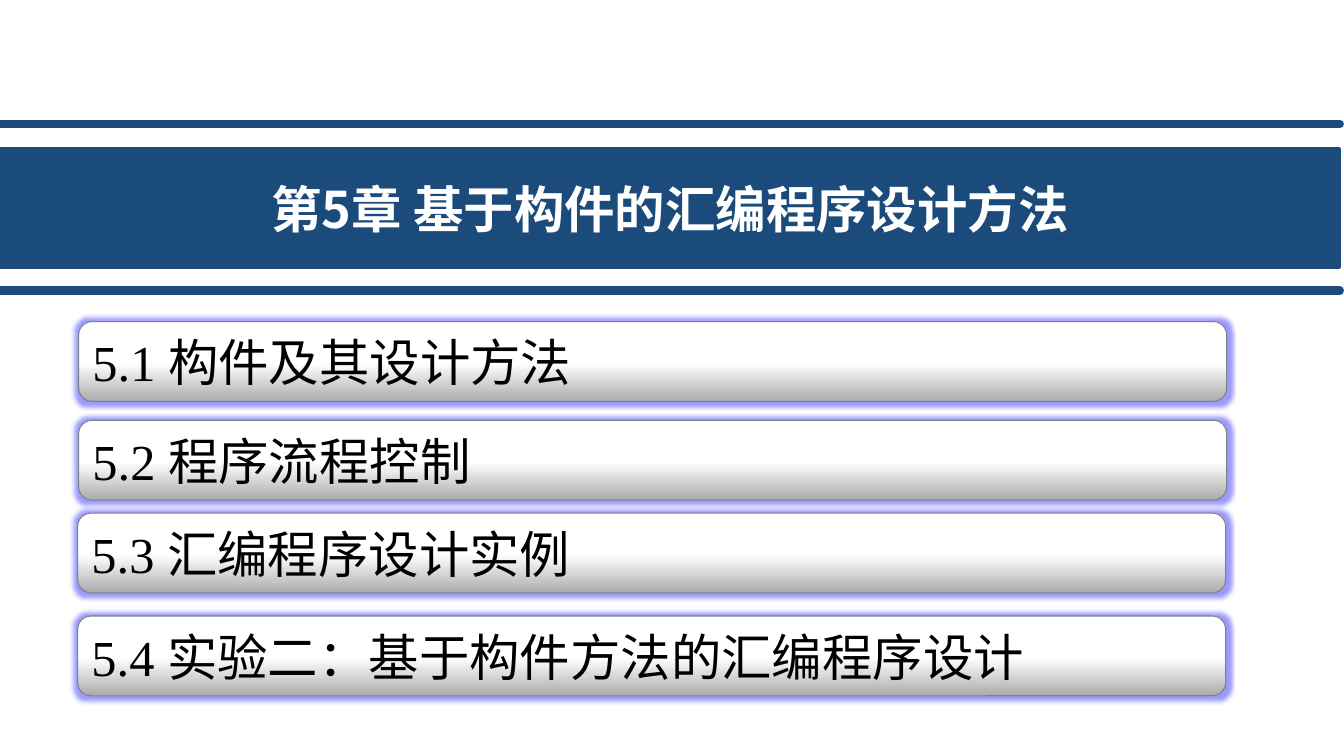
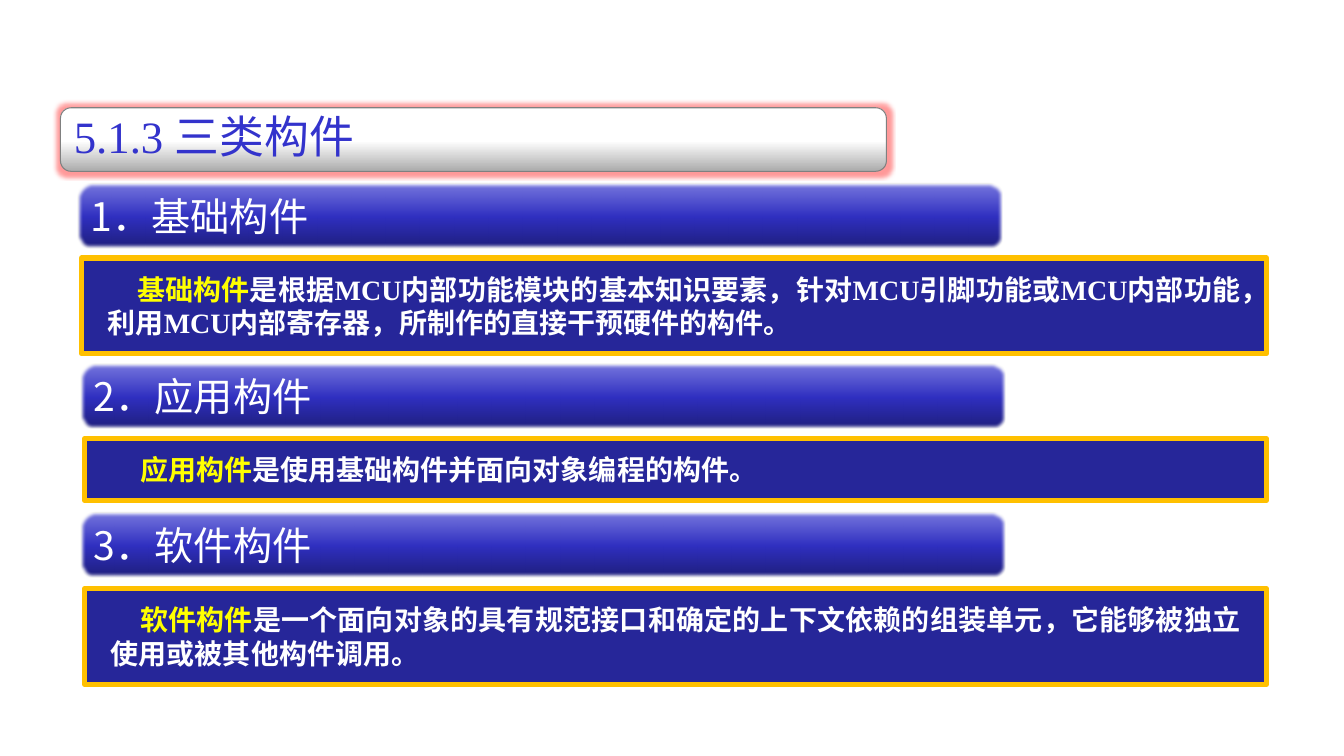
from lxml.etree import SubElement
from pptx import Presentation
from pptx.dml.color import RGBColor
from pptx.enum.shapes import MSO_CONNECTOR, MSO_SHAPE
from pptx.enum.text import MSO_ANCHOR, MSO_AUTO_SIZE, PP_ALIGN
from pptx.oxml.ns import qn
from pptx.util import Pt

SANS = "Noto Sans CJK SC"
SERIF = "Times New Roman"
NAVY, WHITE, BLACK, GRAY = "1B4B7B", "FFFFFF", "000000", "808080"
INDIGO, GOLD, YELLOW, BLUE = "262699", "FFC000", "FFFF00", "3333CC"
SILVER_STOPS = [(0, "ABABAB"), (48, "FFFFFF"), (100, "FFFFFF")]
BLUE_STOPS = [(0, "1E1E7C"), (48, "2F2FC0"), (100, "7878DE")]
BLUE_GLOW, RED_GLOW = "0000FF", "FF0000"

BAND_FORMAT = dict(size=36, font=SANS, color=WHITE, bold=True, align=PP_ALIGN.CENTER,
                   anchor=MSO_ANCHOR.MIDDLE, margins=(7.2, 3.6, 7.2, 3.6))
HEADING_FORMAT = dict(size=32, font=SERIF, color=BLUE, bold=False, align=PP_ALIGN.LEFT,
                      anchor=MSO_ANCHOR.TOP, margins=(9.5, 1, 7.2, 0))
ITEM_FORMAT = dict(size=36, font=SERIF, color=BLACK, bold=False, align=PP_ALIGN.LEFT,
                   anchor=MSO_ANCHOR.MIDDLE, margins=(7.2, 0, 7.2, 0))
LABEL_FORMAT = dict(ITEM_FORMAT, size=28, font=SANS, color=WHITE)
BODY_FORMAT = dict(size=20, font=SERIF, color=WHITE, bold=True, align=PP_ALIGN.JUSTIFY,
                   anchor=MSO_ANCHOR.MIDDLE, margins=(18.72, 10, 18.72, 10),
                   spacing=24, indent=21)


def rgb(value):
    return RGBColor.from_string(value)


def set_attributes(target, values):
    for name, value in values.items():
        setattr(target, name, value)


class Deck:
    def __init__(self):
        self.presentation = Presentation()
        set_attributes(self.presentation, dict(slide_width=Pt(960), slide_height=Pt(540)))
        self.slide = None

    def add_slide(self):
        self.slide = self.presentation.slides.add_slide(self.presentation.slide_layouts[5])

    def fill_text(self, shape, runs, style):
        frame = shape.text_frame
        left, top, right, bottom = map(Pt, style["margins"])
        set_attributes(frame, dict(
            word_wrap=True, auto_size=MSO_AUTO_SIZE.NONE, vertical_anchor=style["anchor"],
            margin_left=left, margin_top=top, margin_right=right, margin_bottom=bottom))
        paragraph = frame.paragraphs[0]
        paragraph.alignment = style["align"]
        if "spacing" in style:
            paragraph.line_spacing = Pt(style["spacing"])
        if "indent" in style:
            paragraph._p.get_or_add_pPr().set("indent", str(Pt(style["indent"])))
        for text, color in runs:
            run = paragraph.add_run()
            run.text = text
            set_attributes(run.font, dict(
                size=Pt(style["size"]), name=style["font"], bold=style["bold"]))
            run.font.color.rgb = rgb(color)
            SubElement(run._r.get_or_add_rPr(), qn("a:ea"), typeface=SANS)

    def outline(self, shape, color, width):
        shape.line.color.rgb = rgb(color)
        shape.line.width = Pt(width)

    def shape(self, kind, box, line_color, line_width):
        shape = self.slide.shapes.add_shape(kind, *map(Pt, box))
        shape.shadow.inherit = False
        self.outline(shape, line_color, line_width)
        return shape

    def title(self, box, text, style, fill=None):
        title = self.slide.shapes.title
        set_attributes(title, dict(zip(("left", "top", "width", "height"), map(Pt, box))))
        if fill:
            title.fill.solid()
            title.fill.fore_color.rgb = rgb(fill)
            self.outline(title, fill, 2)
        self.fill_text(title, [(text, style["color"])], style)
        self.slide.shapes._spTree.append(title._element)

    def rule(self, top):
        connector = self.slide.shapes.add_connector(
            MSO_CONNECTOR.STRAIGHT, Pt(0), Pt(top), Pt(957), Pt(top))
        self.outline(connector, NAVY, 6)
        properties = connector._element.spPr
        properties.find(qn("a:ln")).set("cap", "rnd")
        SubElement(properties, qn("a:effectLst"))

    def bar(self, box, stops, glow=None, text=None, style=None):
        shape = self.shape(MSO_SHAPE.ROUNDED_RECTANGLE, box, GRAY, 0.75)
        shape.fill.gradient()
        shape.fill.gradient_angle = 90
        properties = shape._element.spPr
        stop_list = properties.find(qn("a:gradFill")).find(qn("a:gsLst"))
        stop_list.clear()
        for position, color in stops:
            stop = SubElement(stop_list, qn("a:gs"), pos=str(position * 1000))
            SubElement(stop, qn("a:srgbClr"), val=color)
        effects = properties.find(qn("a:effectLst"))
        if glow:
            halo = SubElement(effects, qn("a:glow"), rad=str(Pt(6)))
            color = SubElement(halo, qn("a:srgbClr"), val=glow)
            SubElement(color, qn("a:alpha"), val="40000")
        else:
            SubElement(effects, qn("a:softEdge"), rad=str(Pt(2.5)))
        if text:
            self.fill_text(shape, [(text, style["color"])], style)

    def body(self, box, term, text):
        shape = self.shape(MSO_SHAPE.RECTANGLE, box, GOLD, 3.75)
        shape.fill.solid()
        shape.fill.fore_color.rgb = rgb(INDIGO)
        self.fill_text(shape, [(term, YELLOW), (text, WHITE)], BODY_FORMAT)


def build_chapter(deck):
    deck.add_slide()
    deck.title((0, 106, 957, 85), "第5章 基于构件的汇编程序设计方法", BAND_FORMAT, NAVY)
    for top in (88.5, 207.5):
        deck.rule(top)
    sections = [
        (56.2, 229.7, "5.1 构件及其设计方法"),
        (56.2, 300.2, "5.2 程序流程控制"),
        (55.5, 366.5, "5.3 汇编程序设计实例"),
        (55.5, 440, "5.4 实验二：基于构件方法的汇编程序设计"),
    ]
    for left, top, text in sections:
        deck.bar((left, top, 820, 57), SILVER_STOPS, BLUE_GLOW, text, ITEM_FORMAT)


def build_components(deck):
    deck.add_slide()
    heading_box = (43.2, 77, 590, 45.4)
    deck.bar(heading_box, SILVER_STOPS, RED_GLOW)
    deck.title(heading_box, "5.1.3 三类构件", HEADING_FORMAT)
    components = [
        (55.5, 131, 184.3, 68.4, "基础构件",
         "是根据MCU内部功能模块的基本知识要素，针对MCU引脚功能或MCU内部功能，"
         "利用MCU内部寄存器，所制作的直接干预硬件的构件。"),
        (57.8, 260, 313.4, 44, "应用构件", "是使用基础构件并面向对象编程的构件。"),
        (57.8, 366, 420.5, 68.4, "软件构件",
         "是一个面向对象的具有规范接口和确定的上下文依赖的组装单元，"
         "它能够被独立使用或被其他构件调用。"),
    ]
    for number, (left, top, body_top, height, term, text) in enumerate(components, 1):
        deck.bar((left, top, 660, 46), BLUE_STOPS, None, f"{number}．{term}", LABEL_FORMAT)
        body_left = left + 2.7
        deck.body((body_left, body_top, 904.7 - body_left, height), term, text)


def main():
    deck = Deck()
    build_chapter(deck)
    build_components(deck)
    deck.presentation.save("out.pptx")


if __name__ == "__main__":
    main()
